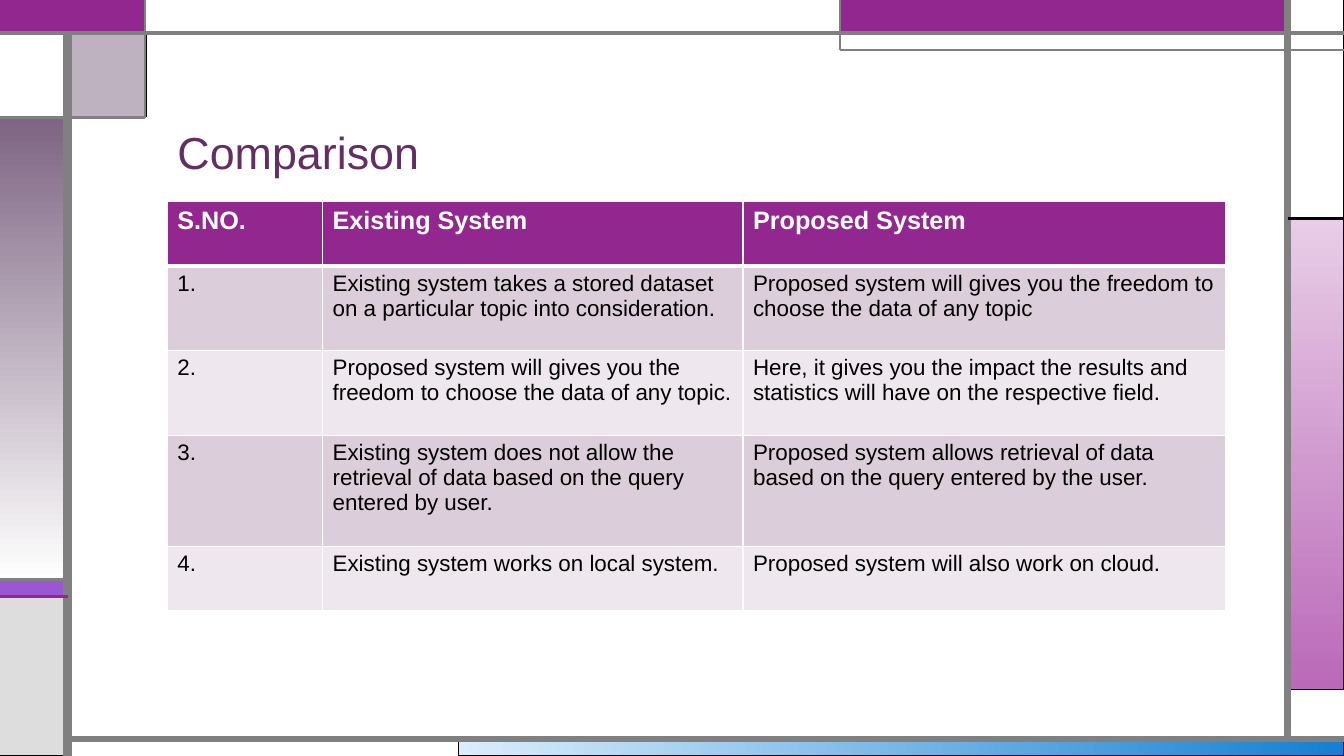
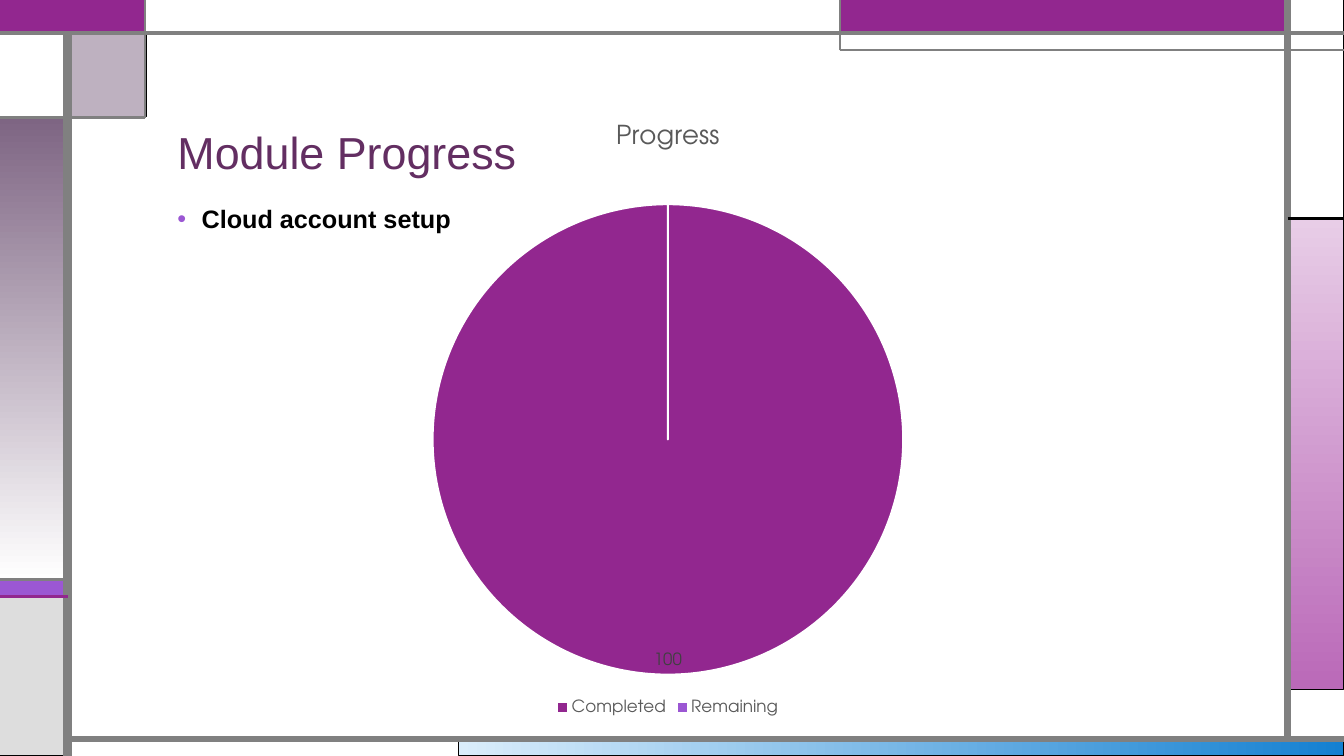
from lxml import etree
from pptx import Presentation
from pptx.chart.data import CategoryChartData
from pptx.dml.color import RGBColor
from pptx.enum.chart import XL_CHART_TYPE, XL_LABEL_POSITION, XL_LEGEND_POSITION
from pptx.enum.shapes import MSO_CONNECTOR, MSO_SHAPE
from pptx.enum.text import MSO_ANCHOR, MSO_AUTO_SIZE, PP_ALIGN
from pptx.oxml import parse_xml
from pptx.oxml.ns import nsdecls, qn
from pptx.util import Inches, Pt

RECT = MSO_SHAPE.RECTANGLE
STRAIGHT = MSO_CONNECTOR.STRAIGHT
PIE = XL_CHART_TYPE.PIE
INSIDE_END = XL_LABEL_POSITION.INSIDE_END
LEGEND_BOTTOM = XL_LEGEND_POSITION.BOTTOM
BOTTOM = MSO_ANCHOR.BOTTOM
NO_FIT = MSO_AUTO_SIZE.NONE
LEFT = PP_ALIGN.LEFT


class Theme:
    font, chart_font = "Arial", "TeX Gyre Adventor"
    purple, violet, mauve, title = "92278F", "9B57D3", "7E6583", "632E62"
    black, white, gray, pale_gray, indigo = "000000", "FFFFFF", "808080", "DDDDDD", "755DD9"
    sky, blue, pink, orchid = "DAEDFB", "1480D1", "E8CDE7", "BA69B8"
    row_dark, row_light = "DCCDDB", "EEE8EE"
    chart_text, label_text = "595959", "404040"
    title_size, head_size, cell_size = 32, 18, 16
    chart_title_size, chart_size = 18.6, 12


def rgb(color):
    return RGBColor.from_string(color)


def set_font(font, size, color, bold=False, name=Theme.font):
    font.name, font.size, font.bold = name, Pt(size), bold
    font.color.rgb = rgb(color)


prs = Presentation()
prs.slide_width, prs.slide_height = Inches(13.33), Inches(7.5)
master = prs.slide_master

# Shared title and body positions
for ph, top, height in zip(master.placeholders, (0.58, 2), (1.25, 4.98)):
    ph.left, ph.top = Inches(1.66), Inches(top)
    ph.width, ph.height = Inches(10.5), Inches(height)

slides = []
for layout, title in ((5, "Comparison"), (1, "Module Progress")):
    s = prs.slides.add_slide(prs.slide_layouts[layout])
    tf = s.shapes.title.text_frame
    tf.text = title
    tf.vertical_anchor, tf.auto_size = BOTTOM, NO_FIT
    p = tf.paragraphs[0]
    p.alignment, p.line_spacing = LEFT, 0.9
    set_font(p.runs[0].font, Theme.title_size, Theme.title)
    slides.append(s)
table_slide, chart_slide = slides

# Frame of panels and rules: drawn as one group, then moved to the master
frame = table_slide.shapes.add_group_shape()

# left, top, width, height, fill (two colours and an angle make a gradient), line, line width
panels = [
    (4.55, 7.33, 8.78, 0.17, (Theme.sky, Theme.blue, 0), Theme.black, 0.75),
    (12.77, 2.17, 0.56, 4.67, (Theme.pink, Theme.orchid, 270), Theme.black, 0.75),
    (0, 5.75, 0.67, 0.17, Theme.violet, Theme.black, 0.75),
    (0, 5.92, 0.67, 1.58, Theme.pale_gray, Theme.black, 0.75),
    (12.77, 0, 0.56, 2.17, Theme.white, Theme.black, 0.75),
    (8.33, 0, 4.44, 0.33, Theme.purple, Theme.indigo, 0.75),
    (0.67, 0.33, 0.78, 0.83, Theme.mauve, Theme.black, 0.75),
    (0, 1.17, 0.67, 4.58, (Theme.mauve, Theme.white, 270), Theme.black, 0.75),
    (0, 0.33, 0.67, 0.83, Theme.white, Theme.black, 0.75),
    (0, 0, 1.44, 0.33, Theme.purple, Theme.purple, 1.5),
    (1.44, 0, 6.89, 0.33, Theme.white, Theme.gray, 0.75),
]
for *box, fill, line, width in panels:
    sp = frame.shapes.add_shape(RECT, *map(Inches, box))
    sp.shadow.inherit = False
    sp.line.color.rgb, sp.line.width = rgb(line), Pt(width)
    if isinstance(fill, tuple):
        sp.fill.gradient()
        sp.fill.gradient_angle = fill[2]
        for stop, color in zip(sp.fill.gradient_stops, fill):
            stop.color.rgb = rgb(color)
    else:
        sp.fill.solid()
        sp.fill.fore_color.rgb = rgb(fill)
    if fill == Theme.mauve:  # half-transparent corner panel
        color = sp.element.spPr.find(qn("a:solidFill"))[0]
        etree.SubElement(color, qn("a:alpha"), val="50000")

# from x, from y, to x, to y, colour, width
rules = [
    (0.67, 7.5, 0.67, 0.33, Theme.gray, 6),
    (0.67, 7.33, 13.33, 7.33, Theme.gray, 4.5),
    (12.77, 7.33, 12.77, 0, Theme.gray, 4.5),
    (0, 0.33, 13.33, 0.33, Theme.gray, 3),
    (13.33, 0.5, 8.33, 0.5, Theme.gray, 1.5),
    (8.33, 0.5, 8.33, 0, Theme.gray, 1.5),
    (12.77, 2.17, 13.33, 2.17, Theme.black, 2.25),
    (1.44, 0, 1.44, 1.17, Theme.gray, 1.5),
    (1.44, 1.17, 0, 1.17, Theme.gray, 2.25),
    (0.67, 5.75, 0, 5.75, Theme.gray, 2.25),
    (0.67, 5.92, 0, 5.92, Theme.purple, 2.25),
]
for *ends, color, width in rules:
    rule = frame.shapes.add_connector(STRAIGHT, *map(Inches, ends))
    rule.line.color.rgb, rule.line.width = rgb(color), Pt(width)
    etree.SubElement(rule.element.spPr, qn("a:effectLst"))
master.shapes.element.insert(2, frame.element)

# Comparison table
rows = [
    ("S.NO.", "Existing System", "Proposed System"),
    ("1.", "Existing system takes a stored dataset on a particular topic into consideration.",
     "Proposed system will gives you the freedom to choose the data of any topic"),
    ("2.", "Proposed system will gives you the freedom to choose the data of any topic.",
     "Here, it gives you the impact the results and statistics will have on the respective field."),
    ("3.", "Existing system does not allow the retrieval of data based on the query entered by user.",
     "Proposed system allows retrieval of data based on the query entered by the user."),
    ("4.", "Existing system works on local system.", "Proposed system will also work on cloud."),
]
col_widths = (1.54, 4.17, 4.79)
row_heights = (0.64, 0.84, 0.84, 1.1, 0.64)
table = table_slide.shapes.add_table(
    len(rows), len(col_widths), Inches(1.66), Inches(2),
    Inches(sum(col_widths)), Inches(sum(row_heights))).table
for col, width in zip(table.columns, col_widths):
    col.width = Inches(width)
for i, texts in enumerate(rows):
    table.rows[i].height = Inches(row_heights[i])
    fill = (Theme.row_light, Theme.row_dark)[i % 2] if i else Theme.purple
    borders = {"lnL": 1, "lnR": 1, "lnT": 3 if i == 1 else 1, "lnB": 1 if i else 3}
    for j, text in enumerate(texts):
        cell = table.cell(i, j)
        cell.text = text
        font = cell.text_frame.paragraphs[0].runs[0].font
        if i == 0:
            set_font(font, Theme.head_size, Theme.white, bold=True)
        else:
            set_font(font, Theme.cell_size, Theme.black)
        cell.fill.solid()
        cell.fill.fore_color.rgb = rgb(fill)
        tcPr = cell._tc.get_or_add_tcPr()
        for k, (side, width) in enumerate(borders.items()):
            tcPr.insert(k, parse_xml(
                f'<a:{side} {nsdecls("a")} w="{Pt(width)}"><a:solidFill>'
                f'<a:srgbClr val="{Theme.white}"/></a:solidFill></a:{side}>'))

# Module list
tf = chart_slide.placeholders[1].text_frame
tf.text = "Cloud account setup"
tf.auto_size = NO_FIT
p = tf.paragraphs[0]
p.line_spacing, p.space_before = 0.9, Pt(18)
set_font(p.runs[0].font, Theme.head_size, Theme.black, bold=True)
pPr = p._p.get_or_add_pPr()
pPr.set("marL", str(Inches(0.24)))
pPr.set("indent", str(-Inches(0.24)))
bullet_color = etree.SubElement(pPr, qn("a:buClr"))
etree.SubElement(bullet_color, qn("a:srgbClr"), val=Theme.violet)
etree.SubElement(pPr, qn("a:buFont"), typeface=Theme.font)
etree.SubElement(pPr, qn("a:buChar"), char="•")

# Progress pie
data = CategoryChartData()
data.categories = ["Completed", "Remaining"]
data.add_series("Progress", (100, 0))
chart = chart_slide.shapes.add_chart(
    PIE, Inches(1.31), Inches(0.99), Inches(10.63), Inches(6.15), data).chart
set_font(chart.font, 10, Theme.black, name=Theme.chart_font)
tf = chart.chart_title.text_frame
tf.text = "Progress"
set_font(tf.paragraphs[0].runs[0].font, Theme.chart_title_size, Theme.chart_text,
         name=Theme.chart_font)
chart.has_legend = True
chart.legend.position, chart.legend.include_in_layout = LEGEND_BOTTOM, False
set_font(chart.legend.font, Theme.chart_size, Theme.chart_text, name=Theme.chart_font)

plot = chart.plots[0]
plot.vary_by_categories = True
plot.has_data_labels = True
labels = plot.data_labels
labels.show_value, labels.show_percentage = True, False
labels.number_format, labels.number_format_is_linked = "0;;", False  # hides the zero
labels.position = INSIDE_END
set_font(labels.font, Theme.chart_size, Theme.label_text, name=Theme.chart_font)

series = plot.series[0]
for i, color in enumerate((Theme.purple, Theme.violet)):
    fmt = series.points[i].format
    fmt.fill.solid()
    fmt.fill.fore_color.rgb = rgb(color)
    fmt.line.color.rgb, fmt.line.width = rgb(Theme.white), Pt(1.5)
explosion = parse_xml(f'<c:explosion {nsdecls("c")} val="7"/>')
series._element.find(qn("c:tx")).addnext(explosion)

prs.save("out.pptx")
